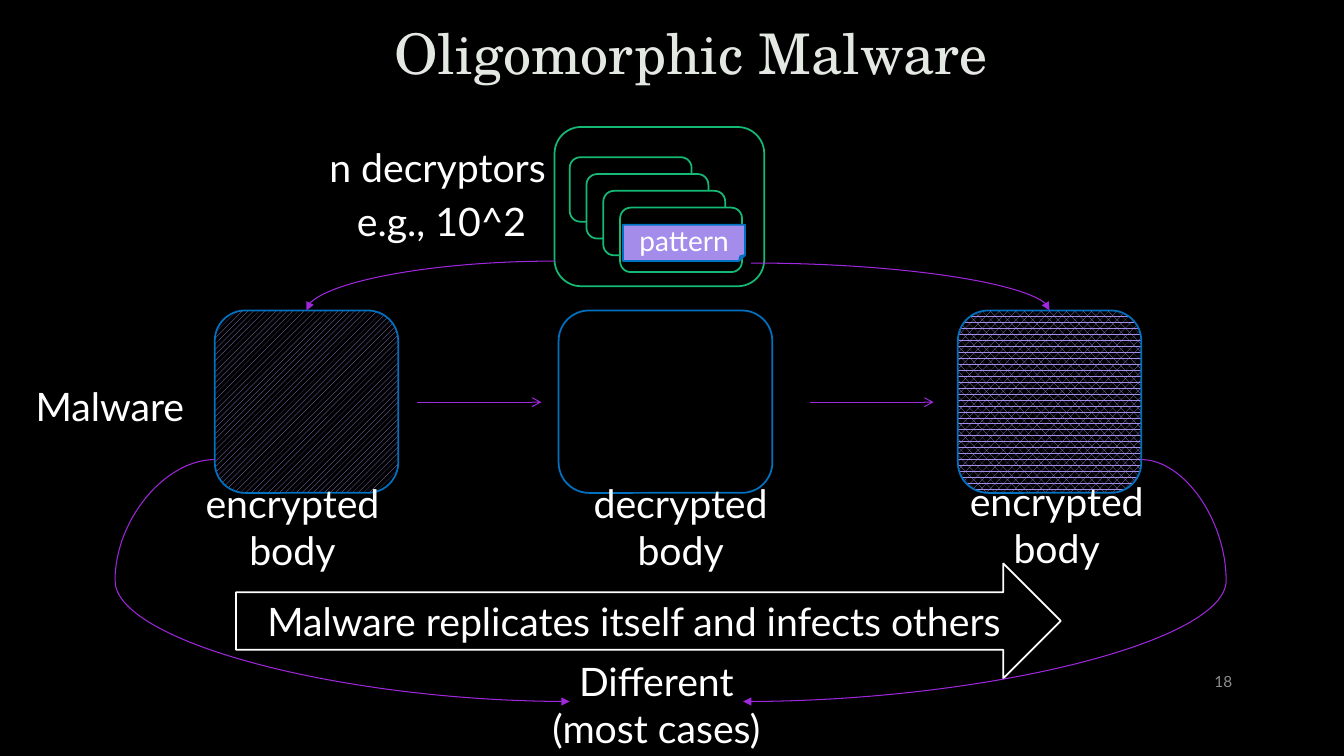
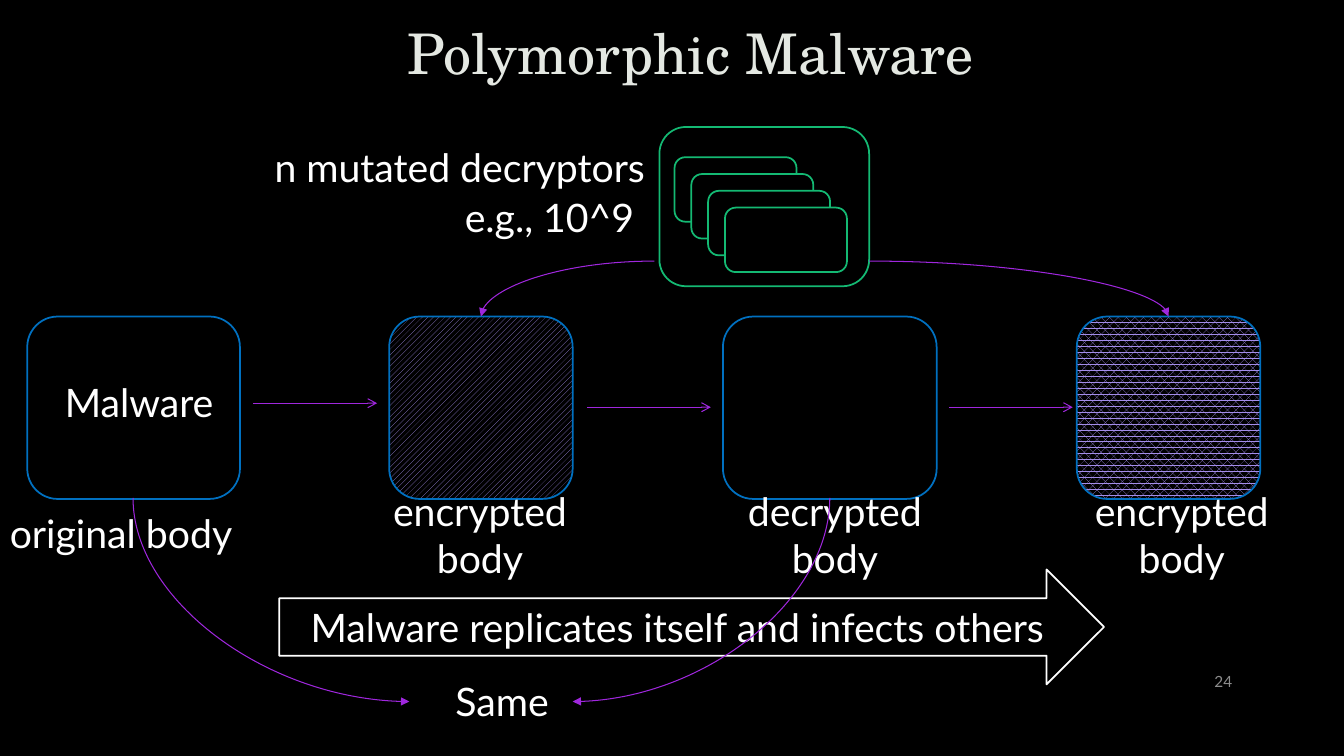
from lxml import etree
from pptx import Presentation
from pptx.dml.color import RGBColor
from pptx.enum.dml import MSO_PATTERN as PATTERN
from pptx.enum.shapes import MSO_CONNECTOR as LINE, MSO_SHAPE as SHAPE
from pptx.enum.text import MSO_ANCHOR as ANCHOR, PP_ALIGN as ALIGN
from pptx.oxml.ns import qn
from pptx.util import Inches, Pt

COLORS = {
    "black": "000000", "white": "FFFFFF", "title": "E4E8E2", "number": "8C8C8C",
    "blue": "0070C0", "green": "14B973", "purple": "9F27DD", "lilac": "A38CEA",
}
BODY_FONT, TITLE_FONT = "Lato", "TeX Gyre Schola"
TITLE_BOX = (2.91, 0, 7.88, 1.12)
NUMBER_BOX = (11.5, 6.56, 0.82, 0.4)
LABEL_H = 1.03
BODY_H = 1.81
CARDS, CARD_SPAN = 4, 0.5
HATCH, DOTS = PATTERN.WIDE_UPWARD_DIAGONAL, PATTERN.PERCENT_60
BANNER = "Malware replicates itself and infects others"

SLIDES = [
    {
        "title": "Oligomorphic Malware", "number": "18",
        "store_x": 5.5, "pattern": "pattern",
        "bodies": [(2.13, 3.08, 1.82, HATCH), (5.54, 3.08, 2.12, None), (9.5, 3.08, 1.82, DOTS)],
        "labels": [
            ("Malware", 1.09, 3.51, 2.1),
            ("encrypted body", 2.9, 4.71, 2.49), ("decrypted body", 6.75, 4.71, 2.49),
            ("encrypted body", 10.48, 4.69, 2.49),
            ("n decryptors", 4.34, 1.14, 3.2), ("e.g., 10^2", 4.38, 1.68, 3.2),
            ("Different\n(most cases)", 6.51, 6.47, 2.6),
        ],
        "banner": (2.34, 5.59),
        "steps": [(4.14, 3.99), (8.03, 3.99)],
        "curves": [
            ((5.51, 2.59), (3.04, 3.08), None, "tail"),
            ((7.45, 2.61), (10.41, 3.08), None, "tail"),
            ((2.13, 4.56), (5.65, 6.96), -28100, "tail"),
            ((11.32, 4.56), (7.37, 6.96), -21300, "tail"),
        ],
    },
    {
        "title": "Polymorphic Malware", "number": "24",
        "store_x": 6.54, "pattern": None,
        "bodies": [(0.27, 3.14, 2.11, None), (3.86, 3.14, 1.82, HATCH),
                   (7.17, 3.14, 2.12, None), (10.68, 3.14, 1.82, DOTS)],
        "labels": [
            ("Malware", 1.38, 3.47, 2.1), ("original body", 1.2, 4.77, 2.4),
            ("encrypted body", 4.76, 4.79, 2.49), ("decrypted body", 8.28, 4.79, 2.49),
            ("encrypted body", 11.72, 4.79, 2.49),
            ("n mutated decryptors", 4.56, 1.14, 4.5), ("e.g., 10^9", 5.45, 1.64, 3.2),
            ("Same", 4.98, 6.44, 2.6),
        ],
        "banner": (2.77, 5.65),
        "steps": [(2.51, 4), (5.82, 4.04), (9.41, 4.04)],
        "curves": [
            ((6.49, 2.59), (4.77, 3.14), None, "tail"),
            ((8.62, 2.59), (11.59, 3.14), None, "tail"),
            ((4.06, 6.96), (1.32, 4.94), None, "head"),
            ((5.68, 6.96), (8.23, 4.94), None, "head"),
        ],
    },
]


def rgb(name):
    return RGBColor.from_string(COLORS[name])


def inches(values):
    return [Inches(v) for v in values]


def write(tf, text, size=28, color="white", font=BODY_FONT, align=ALIGN.CENTER, spacing=None):
    tf.word_wrap = True
    tf.vertical_anchor = ANCHOR.MIDDLE
    for i, line in enumerate(text.split("\n")):
        p = tf.paragraphs[0] if i == 0 else tf.add_paragraph()
        p.alignment = align
        p.line_spacing = spacing
        r = p.add_run()
        r.text = line
        r.font.size, r.font.name = Pt(size), font
        r.font.color.rgb = rgb(color)


def add_box(slide, kind, box, line, fill=None, pattern=None):
    sp = slide.shapes.add_shape(kind, *inches(box))
    sp.shadow.inherit = False
    sp.line.color.rgb = rgb(line)
    sp.line.width = Pt(1.25)
    if pattern:
        sp.fill.patterned()
        sp.fill.pattern = pattern
        sp.fill.fore_color.rgb, sp.fill.back_color.rgb = rgb("lilac"), rgb("black")
    elif fill:
        sp.fill.solid()
        sp.fill.fore_color.rgb = rgb(fill)
    else:
        sp.fill.background()
    return sp


def add_label(slide, text, center, top, width):
    tf = slide.shapes.add_textbox(*inches((center - width / 2, top, width, LABEL_H))).text_frame
    tf.margin_left = tf.margin_right = 0
    write(tf, text)


def add_line(slide, kind, start, end, arrow="triangle", at="tail"):
    cn = slide.shapes.add_connector(kind, *inches(start + end))
    cn.line.color.rgb = rgb("purple")
    cn.line.width = Pt(0.75)
    sp_pr = cn._element.spPr
    etree.SubElement(sp_pr.find(qn("a:ln")), qn(f"a:{at}End"), type=arrow)
    etree.SubElement(sp_pr, qn("a:effectLst"))
    return cn


def add_curve(slide, start, end, bulge, at):
    cn = add_line(slide, LINE.CURVE, start, end, at=at)
    geom = cn._element.spPr.find(qn("a:prstGeom"))
    if bulge is None:
        geom.set("prst", "curvedConnector2")
    else:
        guides = geom.find(qn("a:avLst"))
        etree.SubElement(guides, qn("a:gd"), name="adj1", fmla=f"val {bulge}")


def add_store(slide, x, pattern):
    for i in range(CARDS):
        shift = i * CARD_SPAN / (CARDS - 1)
        card = (x + 0.15 + shift, 1.56 + shift, 1.21, 0.64)
        add_box(slide, SHAPE.ROUNDED_RECTANGLE, card, "green", "black")
    if pattern:
        note = add_box(slide, SHAPE.FOLDED_CORNER, (x + 0.68, 2.23, 1.21, 0.36), "blue", "lilac")
        write(note.text_frame, pattern, size=20)
    add_box(slide, SHAPE.ROUNDED_RECTANGLE, (x, 1.26, 2.08, 1.58), "green")


def build_slide(prs, data):
    s = prs.slides.add_slide(prs.slide_layouts[5])
    title = s.shapes.title
    title.left, title.top, title.width, title.height = inches(TITLE_BOX)
    write(title.text_frame, data["title"], size=40, color="title", font=TITLE_FONT, spacing=0.9)
    number = s.shapes.add_textbox(*inches(NUMBER_BOX))
    write(number.text_frame, data["number"], size=11, color="number", align=ALIGN.RIGHT)
    for x, y, w, pattern in data["bodies"]:
        add_box(s, SHAPE.ROUNDED_RECTANGLE, (x, y, w, BODY_H), "blue", pattern=pattern)
    for label in data["labels"]:
        add_label(s, *label)
    banner = add_box(s, SHAPE.RIGHT_ARROW, data["banner"] + (8.18, 1.14), "white")
    write(banner.text_frame, BANNER)
    add_store(s, data["store_x"], data["pattern"])
    for x, y in data["steps"]:
        add_line(s, LINE.STRAIGHT, (x, y), (x + 1.23, y), arrow="arrow")
    for curve in data["curves"]:
        add_curve(s, *curve)


def main():
    prs = Presentation()
    prs.slide_width, prs.slide_height = Inches(13.33), Inches(7.5)
    fill = prs.slide_master.background.fill
    fill.solid()
    fill.fore_color.rgb = rgb("black")
    for data in SLIDES:
        build_slide(prs, data)
    prs.save("out.pptx")


if __name__ == "__main__":
    main()
